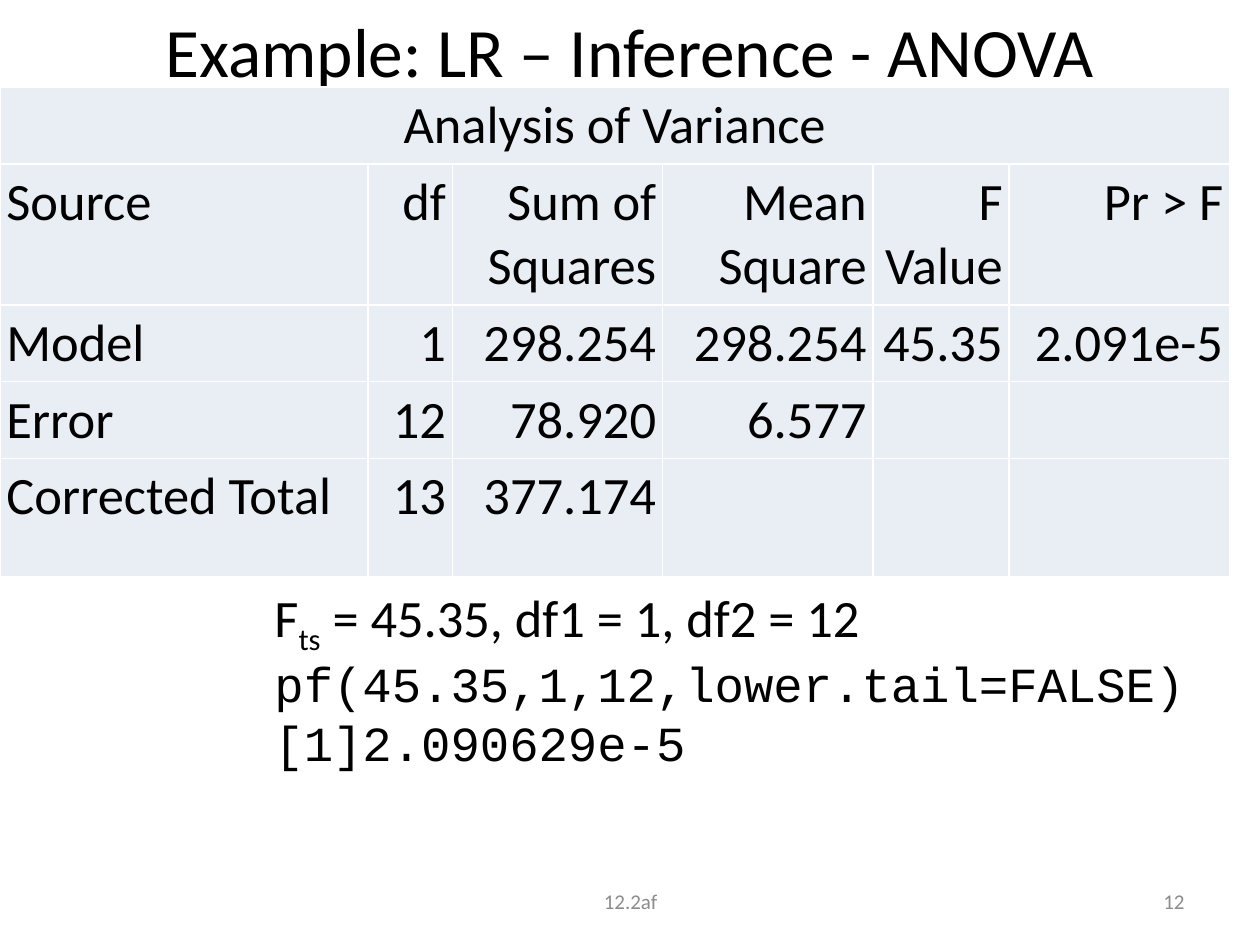
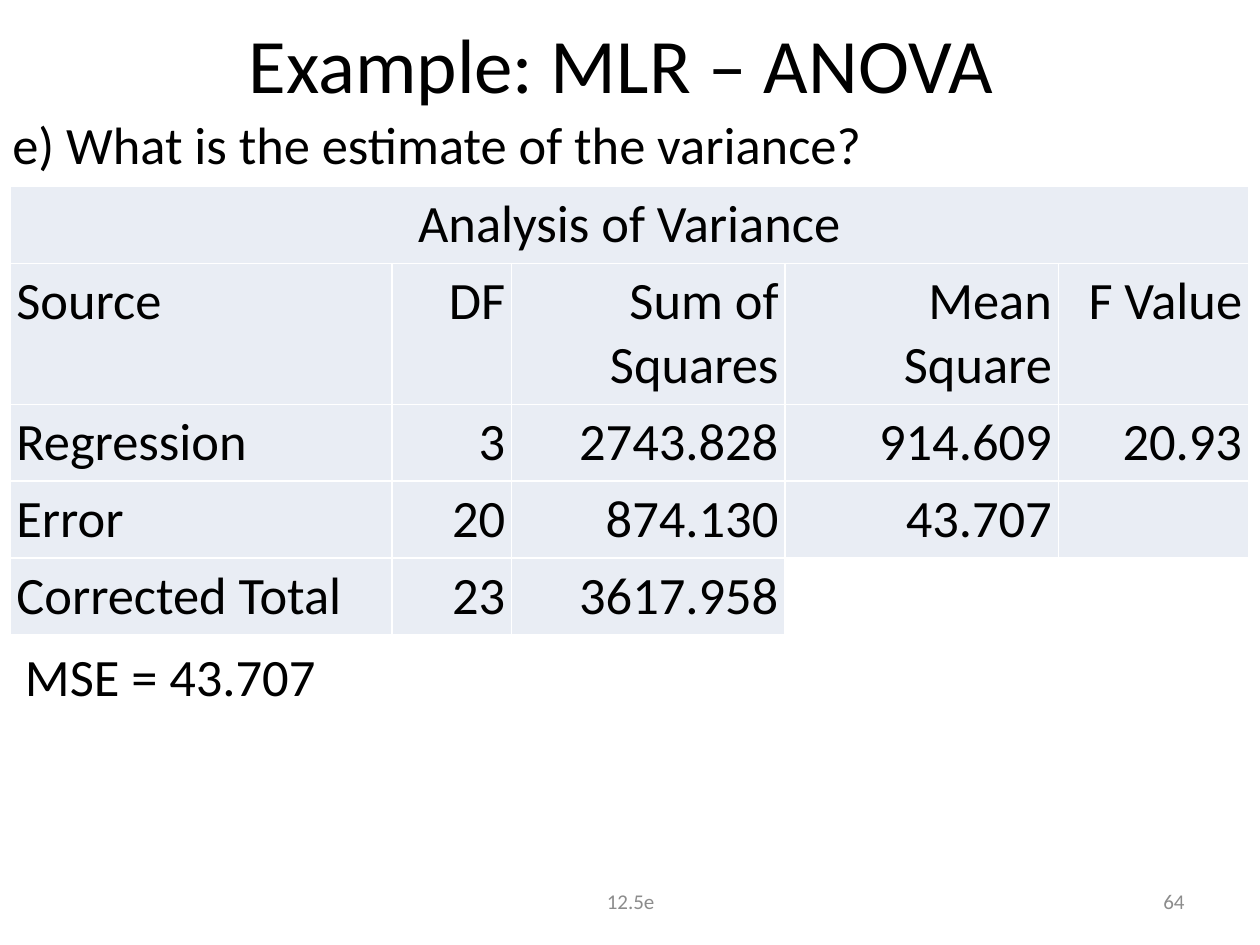
import dataclasses

import pptx
import pptx.dml.color
import pptx.enum.text
import pptx.util

Inches = pptx.util.Inches
Pt = pptx.util.Pt
Align = pptx.enum.text.PP_ALIGN
Anchor = pptx.enum.text.MSO_ANCHOR
AutoSize = pptx.enum.text.MSO_AUTO_SIZE
Color = pptx.dml.color.RGBColor


@dataclasses.dataclass(frozen=True)
class Theme:
    ink: Color = Color.from_string("000000")
    footer: Color = Color.from_string("8C8C8C")
    cell: Color = Color.from_string("E9EDF4")
    font: str = "Calibri"
    code_font: str = "Courier New"
    body_size: float = 30
    code_size: float = 28
    footer_size: float = 12
    cell_margin: float = 0.05


theme = Theme()


def style_paragraph(para, align=Align.LEFT, size=theme.body_size, color=theme.ink, font=theme.font):
    para.alignment = align
    para.font.size = Pt(size)
    para.font.name = font
    para.font.color.rgb = color


def add_text(page, at, lines, framed=False, **style):
    box = page.shapes.add_textbox(*map(Inches, at))
    frame = box.text_frame
    frame.word_wrap = framed
    frame.auto_size = AutoSize.NONE if framed else AutoSize.SHAPE_TO_FIT_TEXT
    frame.vertical_anchor = Anchor.MIDDLE if framed else Anchor.TOP
    frame.text = "\n".join(lines)
    for para in frame.paragraphs:
        style_paragraph(para, **style)
    return frame.paragraphs[0]


slides = [
    {
        "title": "Example: LR – Inference - ANOVA",
        "title_at": (0.5, 0.04, 9, 0.71),
        "title_size": 39.6,
        "table_at": (0, 0.69),
        "columns": [2.92, 0.67, 1.67, 1.67, 1.08, 1.75],
        "heights": [0.61, 1.12, 0.61, 0.61, 0.94],
        "rows": [
            ["Source", "df", "Sum of\vSquares", "Mean\vSquare", "F Value", "Pr > F"],
            ["Model", "1", "298.254", "298.254", "45.35", "2.091e-5"],
            ["Error", "12", "78.920", "6.577", "", ""],
            ["Corrected Total", "13", "377.174", "", "", ""],
        ],
        "unfilled": [],
        "section": "12.2af",
        "number": "12",
    },
    {
        "title": "Example: MLR – ANOVA ",
        "title_at": (0.5, 0, 9, 1),
        "title_size": 44,
        "table_at": (0.08, 1.48),
        "columns": [3.03, 0.95, 2.17, 2.17, 1.51],
        "heights": [0.61, 1.12, 0.61, 0.61, 0.61],
        "rows": [
            ["Source", "DF", "Sum of\vSquares", "Mean\vSquare", "F Value"],
            ["Regression", "3", "2743.828", "914.609", "20.93"],
            ["Error", "20", "874.130", "43.707", ""],
            ["Corrected Total", "23", "3617.958", "", ""],
        ],
        "unfilled": [(4, 3), (4, 4)],
        "section": "12.5e",
        "number": "64",
    },
]

deck = pptx.Presentation()
deck.slide_width = Inches(10)
deck.slide_height = Inches(7.5)
pages = []

for content in slides:
    page = deck.slides.add_slide(deck.slide_layouts[6])
    pages.append(page)
    add_text(page, content["title_at"], [content["title"]], framed=True,
             align=Align.CENTER, size=content["title_size"])

    columns, heights = content["columns"], content["heights"]
    left, top = content["table_at"]
    table = page.shapes.add_table(
        len(heights), len(columns), Inches(left), Inches(top),
        Inches(sum(columns)), Inches(sum(heights))).table
    table.first_row = False
    table.horz_banding = False
    for column, width in zip(table.columns, columns):
        column.width = Inches(width)
    for row, height in zip(table.rows, heights):
        row.height = Inches(height)
    table.cell(0, 0).merge(table.cell(0, len(columns) - 1))

    heading = ["Analysis of Variance"] + [""] * (len(columns) - 1)
    for row_index, values in enumerate([heading] + content["rows"]):
        for column_index, value in enumerate(values):
            cell = table.cell(row_index, column_index)
            cell.margin_left = cell.margin_right = Inches(theme.cell_margin)
            cell.margin_top = cell.margin_bottom = Inches(theme.cell_margin)
            if (row_index, column_index) in content["unfilled"]:
                cell.fill.background()
            else:
                cell.fill.solid()
                cell.fill.fore_color.rgb = theme.cell
            if value:
                para = cell.text_frame.paragraphs[0]
                para.text = value
                align = Align.LEFT if column_index == 0 else Align.RIGHT
                style_paragraph(para, Align.CENTER if row_index == 0 else align)

    for at, text, align in [
        ((7.17, 6.95, 2.33, 0.4), content["number"], Align.RIGHT),
        ((3.42, 6.95, 3.17, 0.4), content["section"], Align.CENTER),
    ]:
        add_text(page, at, [text], framed=True, align=align,
                 size=theme.footer_size, color=theme.footer)

inference_page, variance_page = pages

statistic = add_text(inference_page, (2.08, 4.59, 4.93, 0.61), ["F"])
subscript = statistic.add_run()
subscript.text = "ts"
subscript.font._element.set("baseline", "-25000")
statistic.add_run().text = " = 45.35, df1 = 1, df2 = 12"
add_text(inference_page, (2.08, 5.14, 7.48, 1.04),
         ["pf(45.35,1,12,lower.tail=FALSE)", "[1]2.090629e-5"],
         size=theme.code_size, font=theme.code_font)

question = add_text(variance_page, (0, 0.9, 7, 0.56), ["e) What is the estimate of the variance?"])
question.line_spacing = 0.9
add_text(variance_page, (0.1, 5.06, 2.54, 0.61), ["MSE = 43.707"])

deck.save("out.pptx")
